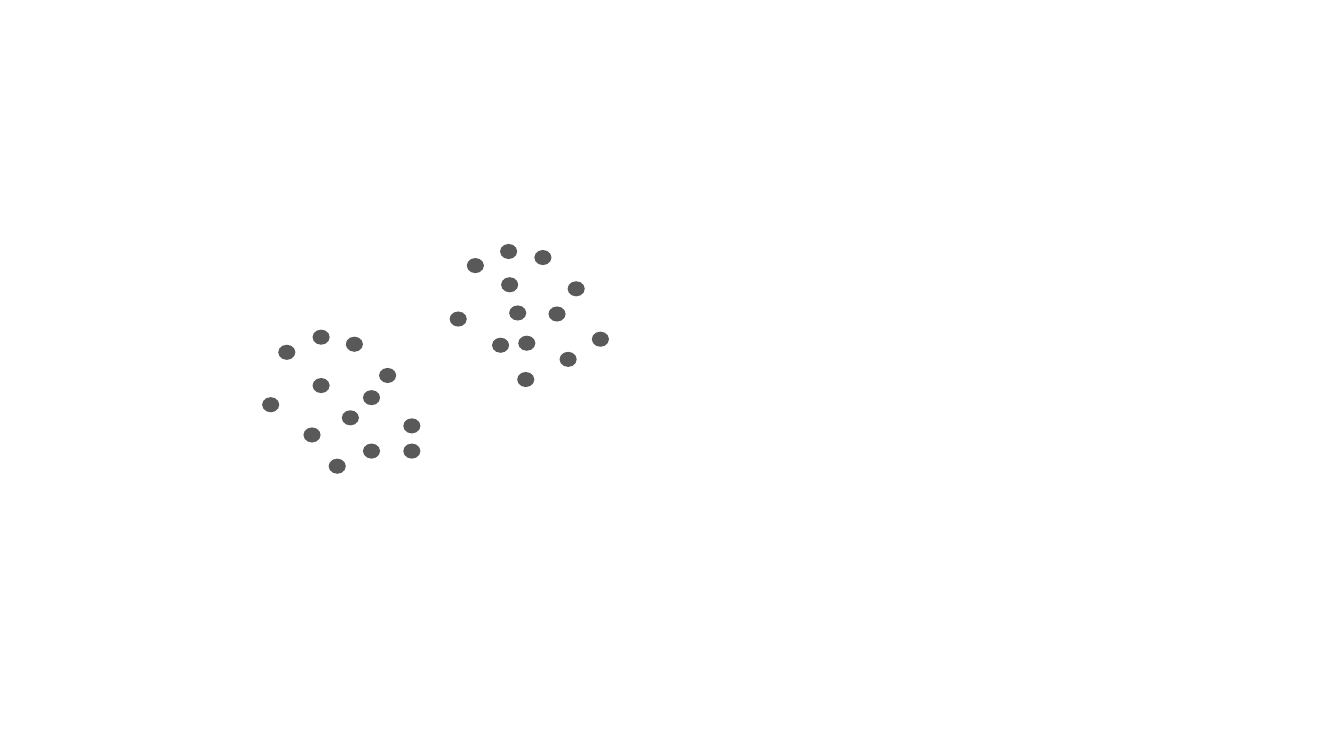
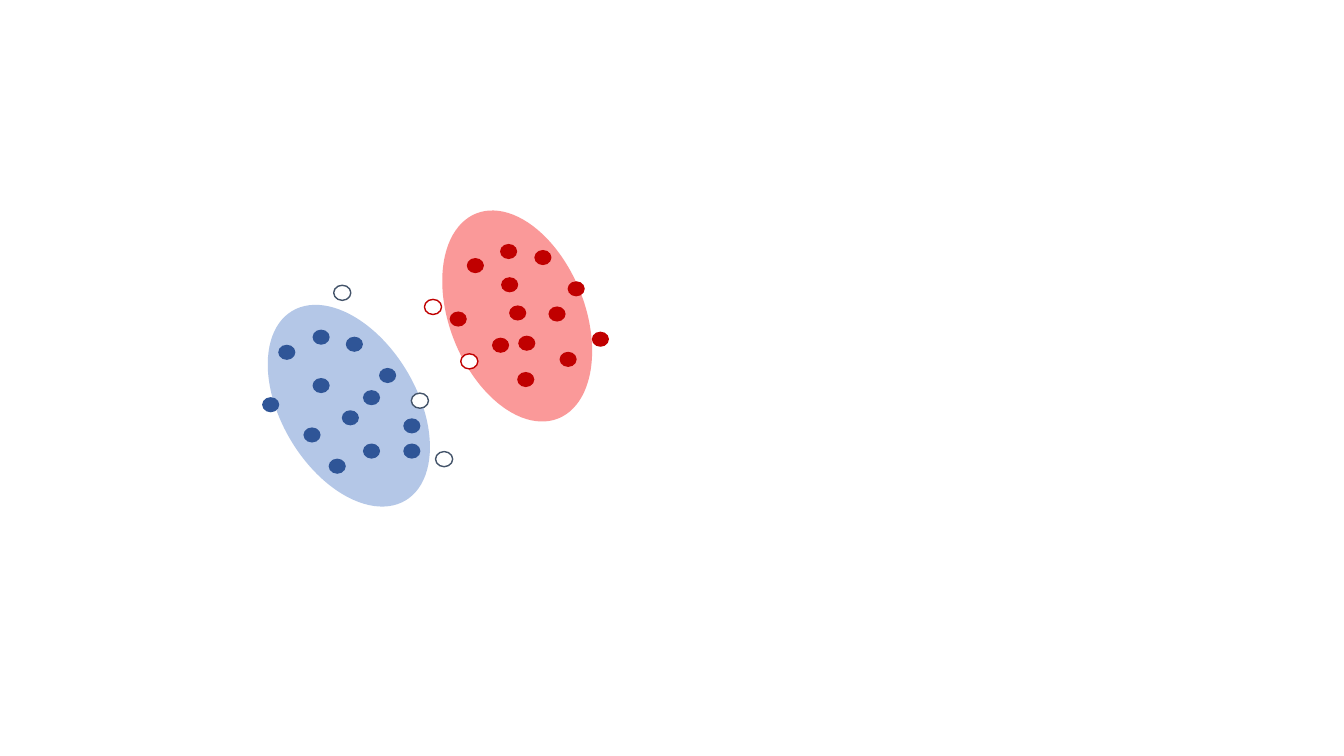
from dataclasses import dataclass

from lxml.etree import SubElement
from pptx import Presentation
from pptx.dml.color import RGBColor
from pptx.enum.shapes import MSO_SHAPE
from pptx.oxml.ns import qn
from pptx.util import Inches, Pt


@dataclass(frozen=True)
class Theme:
    gray: str = "595959"
    white: str = "FFFFFF"
    blue: str = "2F5597"
    sky: str = "B4C7E7"
    slate: str = "44546A"
    red: str = "C00000"
    rose: str = "F96F6F"
    rim: float = 1
    dot: tuple = (0.17, 0.15)
    halo: tuple = (1.34, 2.19)


@dataclass(frozen=True)
class Cluster:
    """A cloud of points; every offset is in inches from its origin."""
    origin: tuple
    dots: tuple
    strays: tuple
    halo: tuple
    turn: float
    color: str
    tint: str
    rim: str
    alpha: int = 100


THEME = Theme()

BLUE = Cluster(
    origin=(2.6, 3.27),
    dots=((0.16, 0.15), (0, 0.67), (0.5, 0.48), (0.41, 0.97), (0.83, 0.07),
          (1, 0.6), (1, 1.13), (1.16, 0.38), (0.66, 1.28), (1.4, 1.13),
          (0.79, 0.8), (1.4, 0.88), (0.5, 0)),
    strays=((0.71, -0.44), (1.72, 1.21), (1.48, 0.63)),
    halo=(0.19, -0.34), turn=329.1,
    color=THEME.blue, tint=THEME.sky, rim=THEME.slate)

RED = Cluster(
    origin=(4.46, 2.42),
    dots=((0.17, 0.14), (0.51, 0.33), (0.59, 0.61), (0, 0.67), (0.84, 0.06),
          (0.68, 0.91), (0.98, 0.62), (1.17, 0.37), (0.67, 1.27),
          (1.09, 1.07), (0.42, 0.93), (1.41, 0.87), (0.5, 0)),
    strays=((-0.25, 0.55), (0.11, 1.09)),
    halo=(0, -0.38), turn=338.2,
    color=THEME.red, tint=THEME.rose, rim=THEME.red, alpha=70)


def add_oval(group, origin, offset, size, fill, rim=None):
    left, top = (Inches(a + b) for a, b in zip(origin, offset))
    width, height = map(Inches, size)
    oval = group.shapes.add_shape(MSO_SHAPE.OVAL, left, top, width, height)
    oval.shadow.inherit = False
    oval.fill.solid()
    oval.fill.fore_color.rgb = RGBColor.from_string(fill)
    if rim:
        oval.line.color.rgb = RGBColor.from_string(rim)
        oval.line.width = Pt(THEME.rim)
    else:
        oval.line.fill.background()
    return oval


def add_halo(group, cluster):
    oval = add_oval(group, cluster.origin, cluster.halo, THEME.halo, cluster.tint)
    oval.rotation = cluster.turn
    if cluster.alpha < 100:
        color = oval.fill._xPr.find(qn("a:solidFill"))[0]
        SubElement(color, qn("a:alpha"), val=str(cluster.alpha * 1000))


def add_dots(group, cluster, fill):
    for offset in cluster.dots:
        add_oval(group, cluster.origin, offset, THEME.dot, fill)


def add_strays(group, cluster):
    for offset in cluster.strays:
        add_oval(group, cluster.origin, offset, THEME.dot, THEME.white, cluster.rim)


def add_group(deck):
    """Add a blank slide and return an empty group on it."""
    slide = deck.slides.add_slide(deck.slide_layouts[6])
    return slide.shapes.add_group_shape()


def build_raw(deck):
    group = add_group(deck)
    for cluster in (BLUE, RED):
        add_dots(group, cluster, THEME.gray)


def build_sorted(deck):
    group = add_group(deck)
    for cluster in (RED, BLUE):
        add_halo(group, cluster)
    for cluster in (BLUE, RED):
        add_dots(group, cluster, cluster.color)
    for cluster in (BLUE, RED):
        add_strays(group, cluster)


def main():
    deck = Presentation()
    deck.slide_width, deck.slide_height = Inches(13.33), Inches(7.5)
    build_raw(deck)
    build_sorted(deck)
    deck.save("out.pptx")


if __name__ == "__main__":
    main()
